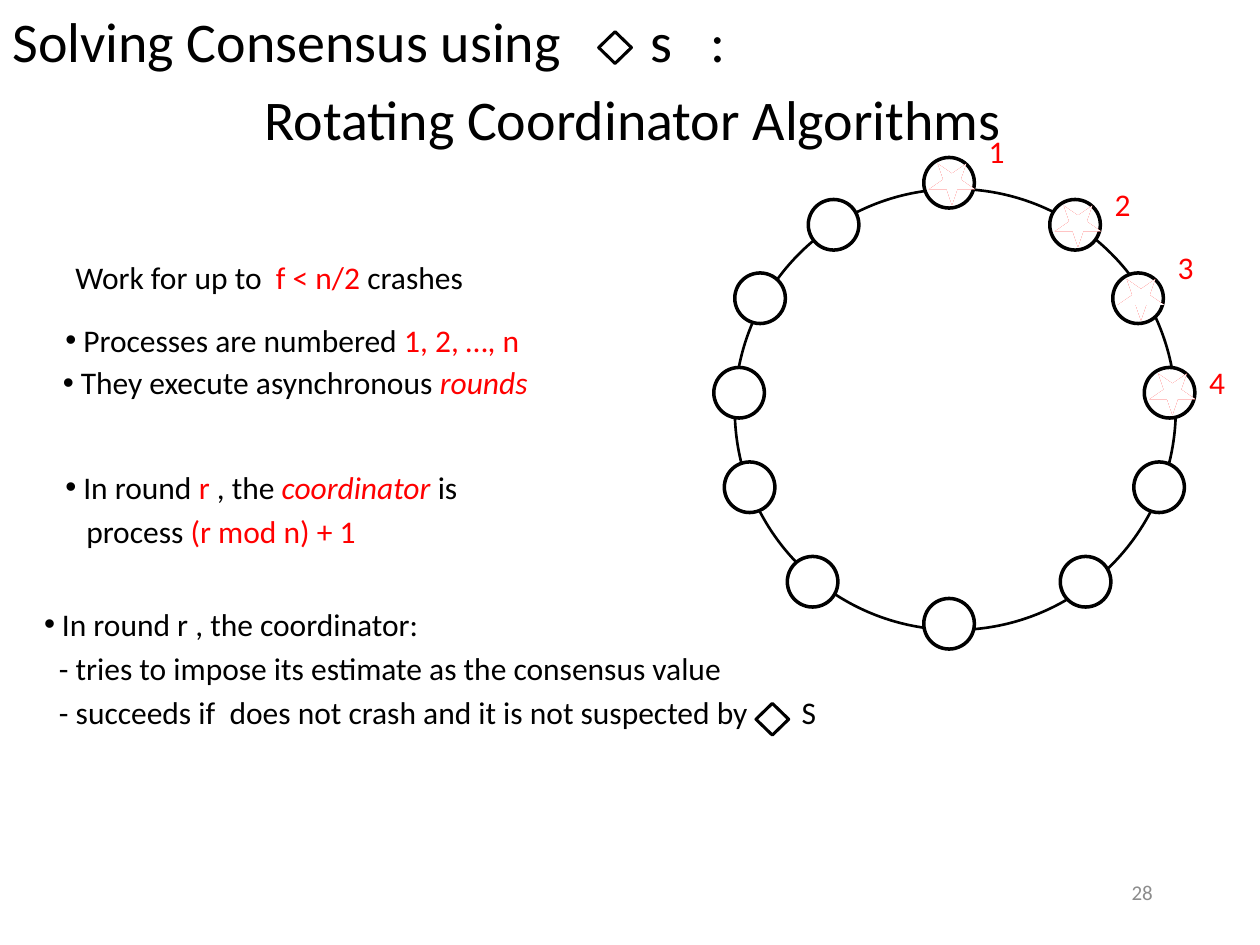
from pptx import Presentation
from pptx import util as u
from pptx.dml.color import RGBColor
from pptx.enum import shapes as sh, text as tx
from pptx.oxml.ns import qn
from lxml import etree

BLACK = RGBColor(0, 0, 0)
WHITE = RGBColor(255, 255, 255)
RED = RGBColor(255, 0, 0)
GRAY = RGBColor(0x8C, 0x8C, 0x8C)
KIND = sh.MSO_SHAPE
UNIT = 2.54 / 12  # grid step in cm
NODE = 1.02

# Ring nodes and labels, in grid steps from the ring's box
COORDS = [(20, 3), (32, 7), (38, 14), (41, 23)]
OTHERS = [(40, 32), (33, 41), (20, 45), (7, 41),
          (1, 32), (0, 23), (2, 14), (9, 7)]
LABELS = [(25, 0), (37, 5), (43, 11), (46, 22)]


def shape(slide, kind, x, y, w, h, line, width, fill=None):
    s = slide.shapes.add_shape(kind, u.Cm(x), u.Cm(y), u.Cm(w), u.Cm(h))
    s.shadow.inherit = False
    if fill is None:
        s.fill.background()
    else:
        s.fill.solid()
        s.fill.fore_color.rgb = fill
    s.line.color.rgb = line
    s.line.width = u.Pt(width)
    return s


def layout(para, left=0, bullet=False):
    """Set the indent in cm, and the bullet."""
    pPr = para._p.get_or_add_pPr()
    pPr.set("marL", str(u.Cm(left)))
    pPr.set("indent", str(-u.Cm(left) if bullet else 0))
    if bullet:
        font = etree.SubElement(pPr, qn("a:buFont"))
        font.set("typeface", "Arial")
        etree.SubElement(pPr, qn("a:buChar")).set("char", "•")


def plain(words, color=BLACK):
    return (words, color, False, 0)


def slant(words):
    return (words, RED, True, 0)


def gap(extra):
    """One space, widened by some points."""
    return (" ", BLACK, False, extra)


def write(slide, x, y, w, h, paras, size=18):
    """Each paragraph is (runs, layout options)."""
    box = slide.shapes.add_textbox(u.Cm(x), u.Cm(y), u.Cm(w), u.Cm(h))
    frame = box.text_frame
    frame.word_wrap = True
    for i, (runs, opts) in enumerate(paras):
        para = frame.add_paragraph() if i else frame.paragraphs[0]
        layout(para, **opts)
        if i:
            para.space_before = u.Pt(size * 0.2)
        for words, color, italic, extra in runs:
            run = para.add_run()
            run.text = words
            run.font.name = "Calibri"
            run.font.size = u.Pt(size)
            run.font.color.rgb = color
            run.font.italic = italic
            if extra:
                run.font._element.set("spc", str(round(extra * 100)))
    return frame


def diamond(slide, x, y):
    shape(slide, KIND.FLOWCHART_DECISION, x, y, 0.66, 0.64, BLACK, 1.75)


def title(slide, x, y, w, h):
    first = [plain("Solving Consensus using"), gap(43.5),
             plain("s"), gap(14.5), plain(":")]
    second = [plain("Rotating Coordinator Algorithms")]
    write(slide, x, y, w, h, [(first, {}), (second, {"left": 5.08})], size=32)
    diamond(slide, x + 12.07, y + 0.64)


def ring(slide, x, y):
    def at(col, row):
        return x + col * UNIT, y + row * UNIT

    shape(slide, KIND.OVAL, *at(2, 6), 42 * UNIT, 42 * UNIT, BLACK, 1.5)
    for spot in COORDS + OTHERS:
        shape(slide, KIND.OVAL, *at(*spot), NODE, NODE, BLACK, 2, WHITE)
    for num, spot in enumerate(LABELS, 1):
        write(slide, *at(*spot), 0.94, 1.27, [([plain(str(num), RED)], {})])
    # Red stars dimmed by white ones on top, with sharp corners
    for color in (RED, WHITE):
        for col, row in COORDS:
            star = shape(slide, KIND.STAR_5_POINT, *at(col + 1, row + 1),
                         0.71, 0.64, color, 2, WHITE)
            star.rotation = 180
            ln = star._element.spPr.find(qn("a:ln"))
            etree.SubElement(ln, qn("a:miter")).set("lim", "800000")


def notes(slide, x, y):
    """Facts about the processes and rounds."""
    dot = {"left": 0.36, "bullet": True}
    write(slide, x + 0.2, y, 10.95, 1.27, [
        ([plain("Work for up to"), gap(4), plain("f < n/2", RED),
          plain(" crashes")], {})])
    write(slide, x, y + 1.27, 12.75, 1.27, [
        ([plain("Processes are numbered "), plain("1, 2, …, n", RED)], dot)])
    write(slide, x - 0.05, y + 2.12, 12.98, 1.27, [
        ([plain("They execute asynchronous "), slant("rounds")], dot)])
    write(slide, x, y + 4.23, 11.1, 2.49, [
        ([plain("In round "), plain("r", RED), plain(" , the "),
          slant("coordinator "), plain("is")], dot),
        ([plain("process "), plain("(r mod n) + 1", RED)], {"left": 0.42})])


def role(slide, x, y):
    """What the coordinator does."""
    write(slide, x, y, 16.98, 2.87, [
        ([plain("In round r , the coordinator:")],
         {"left": 0.36, "bullet": True}),
        ([plain("- tries to impose its estimate as the consensus value")],
         {"left": 0.3}),
        ([plain("- succeeds if"), gap(4),
          plain("does not crash and it is not suspected by"), gap(26.5),
          plain("S")], {"left": 0.3})])
    diamond(slide, x + 14.6, y + 2.11)


def number(slide, x, y, w, h):
    frame = write(slide, x, y, w, h, [([plain("28", GRAY)], {})], size=12)
    frame.vertical_anchor = tx.MSO_ANCHOR.MIDDLE
    frame.paragraphs[0].alignment = tx.PP_ALIGN.RIGHT


def main():
    deck = Presentation()
    deck.slide_width, deck.slide_height = u.Cm(25.4), u.Cm(19.05)
    slide = deck.slides.add_slide(deck.slide_layouts[6])
    number(slide, 18.21, 17.35, 5.28, 1.27)
    ring(slide, 14.39, 2.54)
    notes(slide, 1.07, 5.08)
    title(slide, 0, 0, 23.5, 3.28)
    role(slide, 0.64, 12.07)
    deck.save("out.pptx")


if __name__ == "__main__":
    main()
